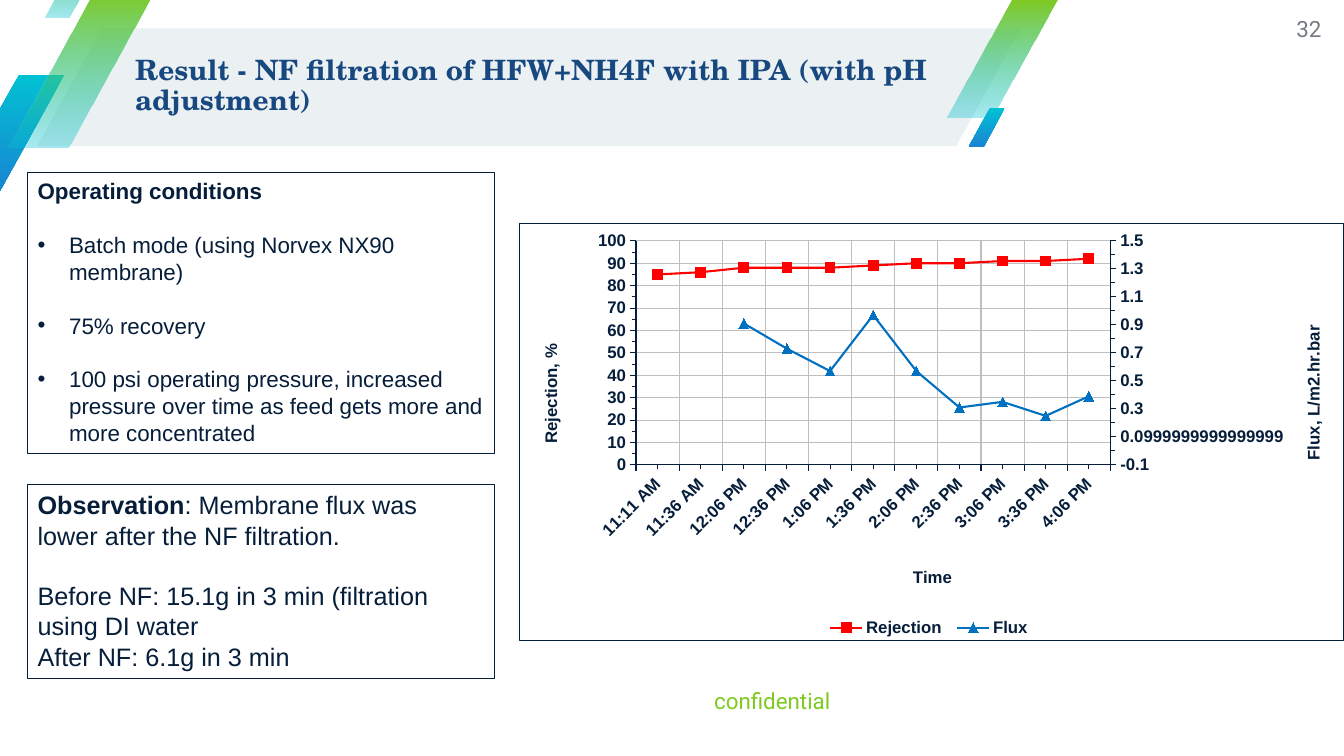
from copy import deepcopy

from lxml import etree
from pptx import Presentation
from pptx import oxml
from pptx.chart import data
from pptx.dml import color
from pptx.enum import chart as ce, shapes, text
from pptx.oxml import ns
from pptx.util import Pt

NAVY, GREEN, CYAN, BLUE = "061E3A", "7FCA20", "02C1D3", "1985D2"
GRID = "BFBFBF"
WIDE, HIGH = 589, 298.8  # chart size
CLOCK = "h:mm AM/PM"
START, NEXT, LAST = 11 * 60 + 11, 11 * 60 + 36, 16 * 60 + 6
TIMES = [mins / 1440 for mins in (START, *range(NEXT, LAST + 1, 30))]
REJECT = [85, 86, 88, 88, 88, 89, 90, 90, 91, 91, 92]
FLUX = [None, None, 0.91, 0.73, 0.57, 0.97, 0.57, 0.31, 0.35, 0.25, 0.39]


def rgb(code):
    return color.RGBColor.from_string(code)


def stroke(line, code, width=0.75):
    line.color.rgb = rgb(code)
    line.width = Pt(width)


def style(font, size, code, bold=False, name="Arial"):
    font.name, font.size, font.bold = name, Pt(size), bold
    font.color.rgb = rgb(code)


def write(frame, paras, size, code=NAVY, name="Arial", align="LEFT",
          anchor="TOP", inset=None, lead=None):
    """Fill a frame; each paragraph is (runs, space before, bullet), a run is (text, bold)."""
    frame.word_wrap = True
    frame.auto_size = text.MSO_AUTO_SIZE.NONE
    frame.vertical_anchor = getattr(text.MSO_ANCHOR, anchor)
    if inset is not None:
        frame.margin_left = frame.margin_right = Pt(inset)
        frame.margin_top = frame.margin_bottom = Pt(inset)
    for i, (runs, gap, bullet) in enumerate(paras):
        para = frame.add_paragraph() if i else frame.paragraphs[0]
        if bullet:
            props = para._p.get_or_add_pPr()
            props.set("marL", str(Pt(22.5)))
            props.set("indent", str(-Pt(22.5)))
            etree.SubElement(props, ns.qn("a:buFont")).set("typeface", "Arial")
            etree.SubElement(props, ns.qn("a:buChar")).set("char", "•")
        para.alignment = getattr(text.PP_ALIGN, align)
        para.space_before = Pt(gap)
        if lead:
            para.line_spacing = lead
        for words, bold in runs:
            run = para.add_run()
            run.text = words
            style(run.font, size, code, bold, name)


def place(host, index, **box):
    """Give a chart part a fixed place, in points from the chart's corner."""
    for old in host.xpath("c:layout"):
        host.remove(old)
    inner = '<c:layoutTarget val="inner"/>' if "w" in box else ""
    parts = "".join(f'<c:{key} val="{val / (WIDE if key in "xw" else HIGH):.4f}"/>'
                    for key, val in box.items())
    host.insert(index, oxml.parse_xml(
        f'<c:layout {ns.nsdecls("c")}><c:manualLayout>{inner}<c:xMode val="edge"/>'
        f'<c:yMode val="edge"/>{parts}</c:manualLayout></c:layout>'))


def set_val(node, **vals):
    for tag, val in vals.items():
        for item in node.xpath(f".//c:{tag}"):
            item.set("val", str(val))


def split(chart):
    """Move the second series to an axis on the right."""
    area = chart.element.xpath(".//c:plotArea")[0]
    left = area.xpath("c:lineChart")[0]
    cat, val = area.xpath("c:catAx")[0], area.xpath("c:valAx")[0]
    right, cat2, val2 = deepcopy(left), deepcopy(cat), deepcopy(val)
    left.remove(left.xpath("c:ser")[1])
    right.remove(right.xpath("c:ser")[0])
    left.addnext(right)
    val.addnext(val2)
    val2.addnext(cat2)
    for node, new in zip(right.xpath("c:axId"), ("5001", "5002")):
        node.set("val", new)
    set_val(cat2, axId=5001, crossAx=5002, delete=1)
    set_val(val2, axId=5002, crossAx=5001, axPos="r", crosses="max",
            max=1.5, majorUnit=0.2, minorUnit=0.1)
    for node in (cat2.xpath("c:title | c:majorGridlines")
                 + val2.xpath("c:majorGridlines | c:scaling/c:min")):
        node.getparent().remove(node)
    val2.xpath(".//a:t")[0].text = "Flux, L/m2.hr.bar"
    place(val2.xpath("c:title")[0], 1, x=558, y=71)


class Page:
    def __init__(self, deck):
        self.slide = deck.slides.add_slide(deck.slide_layouts[5])
        self.shapes = self.slide.shapes

    def slant(self, box, adj, stops):
        """Draw a parallelogram; stops are (colour, opacity in percent)."""
        bar = self.shapes.add_shape(shapes.MSO_SHAPE.PARALLELOGRAM, *map(Pt, box))
        bar.adjustments[0] = adj
        bar.shadow.inherit = False
        bar.line.fill.background()
        if len(stops) == 1:
            bar.fill.solid()
            bar.fill.fore_color.rgb = rgb(stops[0][0])
            return
        bar.fill.gradient()
        bar.fill.gradient_angle = 270
        for stop, (code, _) in zip(bar.fill.gradient_stops, stops):
            stop.color.rgb = rgb(code)
        for node, (_, alpha) in zip(bar.element.xpath(".//a:gs/a:srgbClr"), stops):
            if alpha < 100:
                etree.SubElement(node, ns.qn("a:alpha")).set("val", str(alpha * 1000))

    def title(self, box, words):
        head = self.shapes.title
        head.left, head.top, head.width, head.height = map(Pt, box)
        write(head.text_frame, [([(words, True)], 0, False)], 20, "184880",
              "TeX Gyre Schola", anchor="MIDDLE", inset=0, lead=0.9)
        head.element.getparent().append(head.element)

    def label(self, box, words, code):
        note = self.shapes.add_textbox(*map(Pt, box))
        write(note.text_frame, [([(words, False)], 0, False)], 16, code, "Roboto",
              align="RIGHT", anchor="MIDDLE", inset=0)

    def panel(self, box, paras, size, right=7.2):
        rect = self.shapes.add_shape(shapes.MSO_SHAPE.RECTANGLE, *map(Pt, box))
        rect.shadow.inherit = False
        rect.fill.background()
        stroke(rect.line, NAVY)
        write(rect.text_frame, paras, size)
        rect.text_frame.margin_right = Pt(right)

    def chart(self, left, top):
        table = data.CategoryChartData()
        table.categories = TIMES
        table.categories.number_format = CLOCK
        table.add_series("Rejection ", REJECT)
        table.add_series("Flux ", FLUX)
        chart = self.shapes.add_chart(
            ce.XL_CHART_TYPE.LINE_MARKERS, *map(Pt, (left, top, WIDE, HIGH)), table).chart
        style(chart.font, 12, NAVY, True)
        chart.has_title = False
        chart.has_legend = True
        chart.legend.position = ce.XL_LEGEND_POSITION.BOTTOM
        chart.legend.include_in_layout = False
        style(chart.legend.font, 12, NAVY, True)
        chart.plots[0].vary_by_categories = False
        marks = ce.XL_MARKER_STYLE
        looks = (("FF0000", marks.SQUARE), ("0070C0", marks.TRIANGLE))
        for series, (code, mark) in zip(chart.plots[0].series, looks):
            series.smooth = False
            stroke(series.format.line, code, 1.5)
            series.marker.style, series.marker.size = mark, 7
            series.marker.format.fill.solid()
            series.marker.format.fill.fore_color.rgb = rgb(code)
            stroke(series.marker.format.line, code)
        tick = ce.XL_TICK_MARK
        cat, val = chart.category_axis, chart.value_axis
        for axis, words, form in ((cat, "Time", CLOCK), (val, "Rejection, %", "General")):
            run = axis.axis_title.text_frame.paragraphs[0].add_run()
            run.text = words
            style(run.font, 12, NAVY, True)
            style(axis.tick_labels.font, 12, NAVY, True)
            axis.tick_labels.number_format = form
            axis.tick_labels.number_format_is_linked = False
            stroke(axis.format.line, NAVY)
            axis.has_major_gridlines = True
            stroke(axis.major_gridlines.format.line, GRID)
            axis.major_tick_mark = axis.minor_tick_mark = tick.OUTSIDE
        cat.tick_label_position = ce.XL_TICK_LABEL_POSITION.LOW
        val.minimum_scale, val.maximum_scale = 0, 100
        val.major_unit, val.minor_unit = 10, 5
        root = chart.element
        for spot, turn in (("catAx/c:txPr", -45), ("valAx/c:title", -90)):
            body = root.xpath(f".//c:{spot}//a:bodyPr")[0]
            body.set("rot", str(turn * 60000))
            body.set("vert", "horz")
        place(root.xpath(".//c:plotArea")[0], 0, x=83.2, y=12.6, w=339.3, h=160.5)
        place(root.xpath(".//c:catAx/c:title")[0], 1, x=279, y=243.7)
        place(root.xpath(".//c:valAx/c:title")[0], 1, x=12.7, y=84.3)
        split(chart)
        root.xpath("c:txPr")[0].addprevious(oxml.parse_xml(
            f'<c:spPr {ns.nsdecls("c", "a")}><a:noFill/><a:ln w="{Pt(0.75)}">'
            f'<a:solidFill><a:srgbClr val="{NAVY}"/></a:solidFill></a:ln></c:spPr>'))


def main():
    deck = Presentation()
    deck.slide_width, deck.slide_height = Pt(960), Pt(540)
    page = Page(deck)
    fade = [(GREEN, 100), (CYAN, 34)]
    deep = [(CYAN, 100), (BLUE, 100)]
    page.slant((26.6, 20.2, 702.7, 84.2), 0.55, [("EBF0F3", 100)])
    for box, stops in (((-33.1, 53.3, 79.2, 84.2), deep), ((676.1, 0, 79.2, 84.2), fade),
                       ((5.8, -7.2, 105.1, 112.3), fade), ((31.7, -34.6, 43.9, 46.8), fade),
                       ((691.9, 77, 25.9, 28.1), deep)):
        page.slant(box, 0.59, stops)
    page.label((336.2, 480.2, 257, 41), "confidential", GREEN)
    page.title((96.5, 18.7, 632.9, 85.7),
               "Result - NF filtration of HFW+NH4F with IPA (with pH adjustment)")
    page.label((898.6, 0, 45.4, 41), "32", "757C83")
    page.chart(370.8, 159.1)
    points = ("Batch mode (using Norvex NX90 membrane)", "75% recovery",
              "100 psi operating pressure, increased pressure over time "
              "as feed gets more and more concentrated")
    page.panel((19.8, 123.1, 333.4, 200.9),
               [([("Operating conditions", True)], 0, False)]
               + [([(point, False)], 19.2, True) for point in points], 16)
    page.panel((19.8, 346.3, 333.4, 138.2), [
        ([("Observation", True),
          (": Membrane flux was lower after the NF filtration.", False)], 0, False),
        ([("Before NF: 15.1g in 3 min (filtration using DI water", False)], 21.6, False),
        ([("After NF: 6.1g in 3 min", False)], 0, False)], 18, right=12)
    deck.save("out.pptx")


if __name__ == "__main__":
    main()
